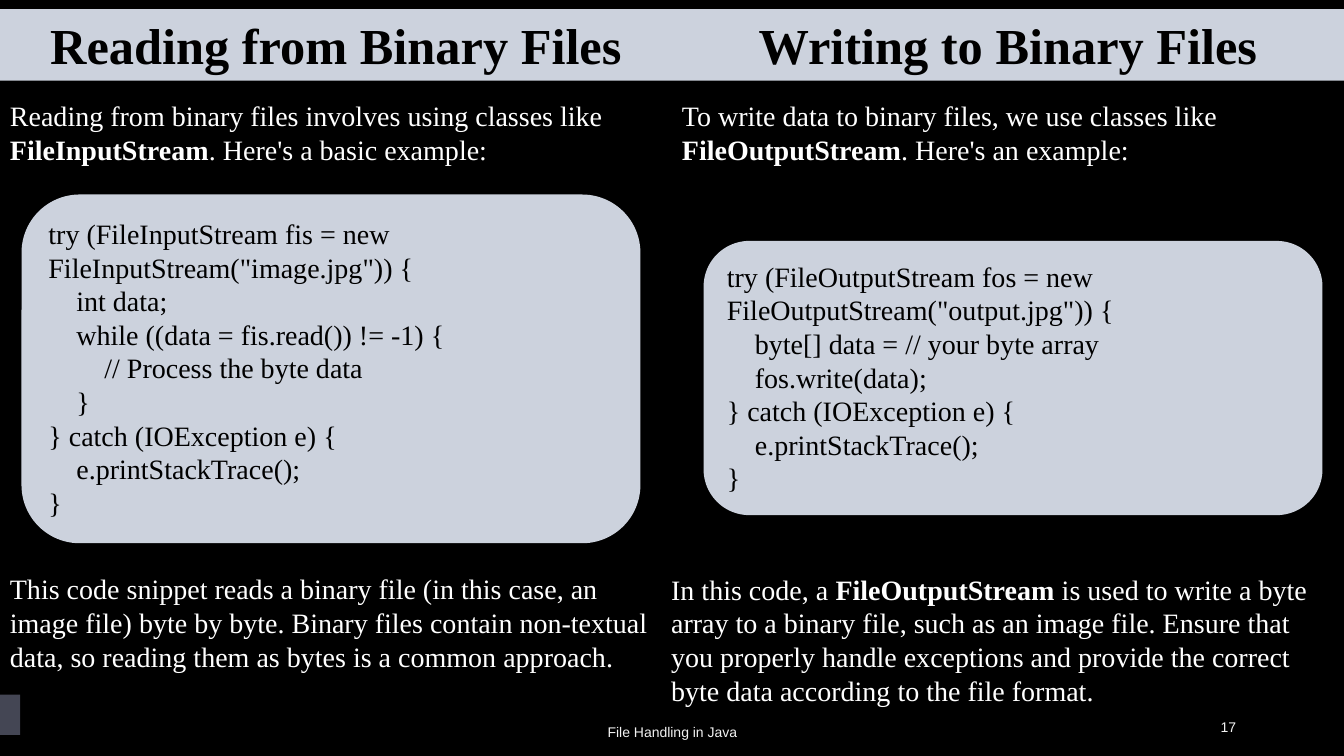
from dataclasses import dataclass

from pptx import Presentation
from pptx.dml.color import RGBColor
from pptx.enum.shapes import MSO_SHAPE
from pptx.enum.text import MSO_ANCHOR, MSO_AUTO_SIZE, PP_ALIGN
from pptx.util import Inches, Pt


@dataclass(frozen=True)
class Theme:
    """Colours, fonts and type sizes."""
    back: str = "000000"
    panel: str = "CCD2DD"
    mark: str = "444654"
    dark: str = "000000"
    light: str = "FFFFFF"
    pale: str = "F2F2F2"
    serif: str = "Times New Roman"
    sans: str = "Arial"
    head: int = 36
    body: int = 20
    small: int = 10


class Deck:
    """Draws styled elements, placed by percent of the slide's size."""

    def __init__(self, theme):
        """Open a title-only slide with a plain background."""
        self.theme = theme
        self.prs = Presentation()
        self.prs.slide_width, self.prs.slide_height = Inches(13.333), Inches(7.5)
        self.slide = self.prs.slides.add_slide(self.prs.slide_layouts[5])
        self.paint(self.slide.background.fill, theme.back)

    def paint(self, fill, color):
        """Apply a solid fill."""
        fill.solid()
        fill.fore_color.rgb = RGBColor.from_string(color)

    def area(self, box):
        """Turn percent shares into slide lengths."""
        wide, high = self.prs.slide_width, self.prs.slide_height
        return [round(part * side / 100) for part, side in zip(box, (wide, high, wide, high))]

    def letter(self, shape, text, size, color, face, align=PP_ALIGN.LEFT,
               anchor=MSO_ANCHOR.MIDDLE, bold=None):
        """Set lines of text, with bold spans between double stars."""
        frame = shape.text_frame
        frame.word_wrap = True
        frame.auto_size = MSO_AUTO_SIZE.NONE
        frame.vertical_anchor = anchor
        for i, line in enumerate(text.split("\n")):
            para = frame.add_paragraph() if i else frame.paragraphs[0]
            para.alignment = align
            font = para.font
            font.size, font.name, font.bold = Pt(size), face, bold
            font.color.rgb = RGBColor.from_string(color)
            for j, part in enumerate(line.split("**")):
                run = para.add_run()
                run.text = part
                if j % 2:
                    run.font.bold = True

    def block(self, box, color, kind=MSO_SHAPE.RECTANGLE):
        """Add a flat filled shape."""
        shape = self.slide.shapes.add_shape(kind, *self.area(box))
        shape.shadow.inherit = False
        shape.line.fill.background()
        self.paint(shape.fill, color)
        return shape

    def label(self, shape, text):
        """Set a column heading."""
        look = self.theme
        self.letter(shape, text, look.head, look.dark, look.serif,
                    PP_ALIGN.CENTER, MSO_ANCHOR.TOP, True)

    def title(self, box, text):
        """Use the title placeholder as a heading."""
        shape = self.slide.shapes.title
        shape.left, shape.top, shape.width, shape.height = self.area(box)
        self.paint(shape.fill, self.theme.panel)
        self.label(shape, text)

    def head(self, box, text):
        """Add a further heading."""
        self.label(self.block(box, self.theme.panel), text)

    def note(self, box, text):
        """Add body text."""
        look = self.theme
        shape = self.slide.shapes.add_textbox(*self.area(box))
        self.letter(shape, text, look.body, look.light, look.serif)

    def code(self, box, text):
        """Add a rounded code panel."""
        look = self.theme
        shape = self.block(box, look.panel, MSO_SHAPE.ROUNDED_RECTANGLE)
        self.letter(shape, text, look.body, look.dark, look.serif, anchor=MSO_ANCHOR.TOP)

    def foot(self, box, text, align):
        """Add small footer text."""
        look = self.theme
        shape = self.slide.shapes.add_textbox(*self.area(box))
        self.letter(shape, text, look.small, look.pale, look.sans, align)


INPUT = """try (FileInputStream fis = new FileInputStream("image.jpg")) {
    int data;
    while ((data = fis.read()) != -1) {
        // Process the byte data
    }
} catch (IOException e) {
    e.printStackTrace();
}"""

OUTPUT = """try (FileOutputStream fos = new FileOutputStream("output.jpg")) {
    byte[] data = // your byte array
    fos.write(data);
} catch (IOException e) {
    e.printStackTrace();
}"""


def main():
    """Build and save the slide."""
    deck = Deck(Theme())
    half = 50
    deck.title((0, 1.2, half, 9.47), "Reading from Binary Files")
    deck.head((half, 1.2, half, 9.47), "Writing to Binary Files")
    deck.note((0, 12.4, half, 10.27),
              "Reading from binary files involves using classes like "
              "**FileInputStream**. Here's a basic example:")
    deck.note((half, 12.4, half, 10.27),
              "To write data to binary files, we use classes like "
              "**FileOutputStream**. Here's an example:")
    deck.code((1.6, 25.73, 46.05, 46.13), INPUT)
    deck.code((52.35, 31.87, 46.05, 36.27), OUTPUT)
    deck.note((0, 74.93, 49.2, 14.8),
              "This code snippet reads a binary file (in this case, an image file) "
              "byte by byte. Binary files contain non-textual data, so reading them "
              "as bytes is a common approach.")
    deck.note((49.2, 74.93, 49.2, 19.33),
              "In this code, a **FileOutputStream** is used to write a byte array to "
              "a binary file, such as an image file. Ensure that you properly handle "
              "exceptions and provide the correct byte data according to the file format.")
    deck.block((0, 91.87, 1.5, 5.33), deck.theme.mark)
    deck.foot((86.57, 93.47, 6.15, 5.33), "17", PP_ALIGN.RIGHT)
    deck.foot((22.65, 94.13, 54.75, 5.33), "File Handling in Java", PP_ALIGN.CENTER)
    deck.prs.save("out.pptx")


if __name__ == "__main__":
    main()
